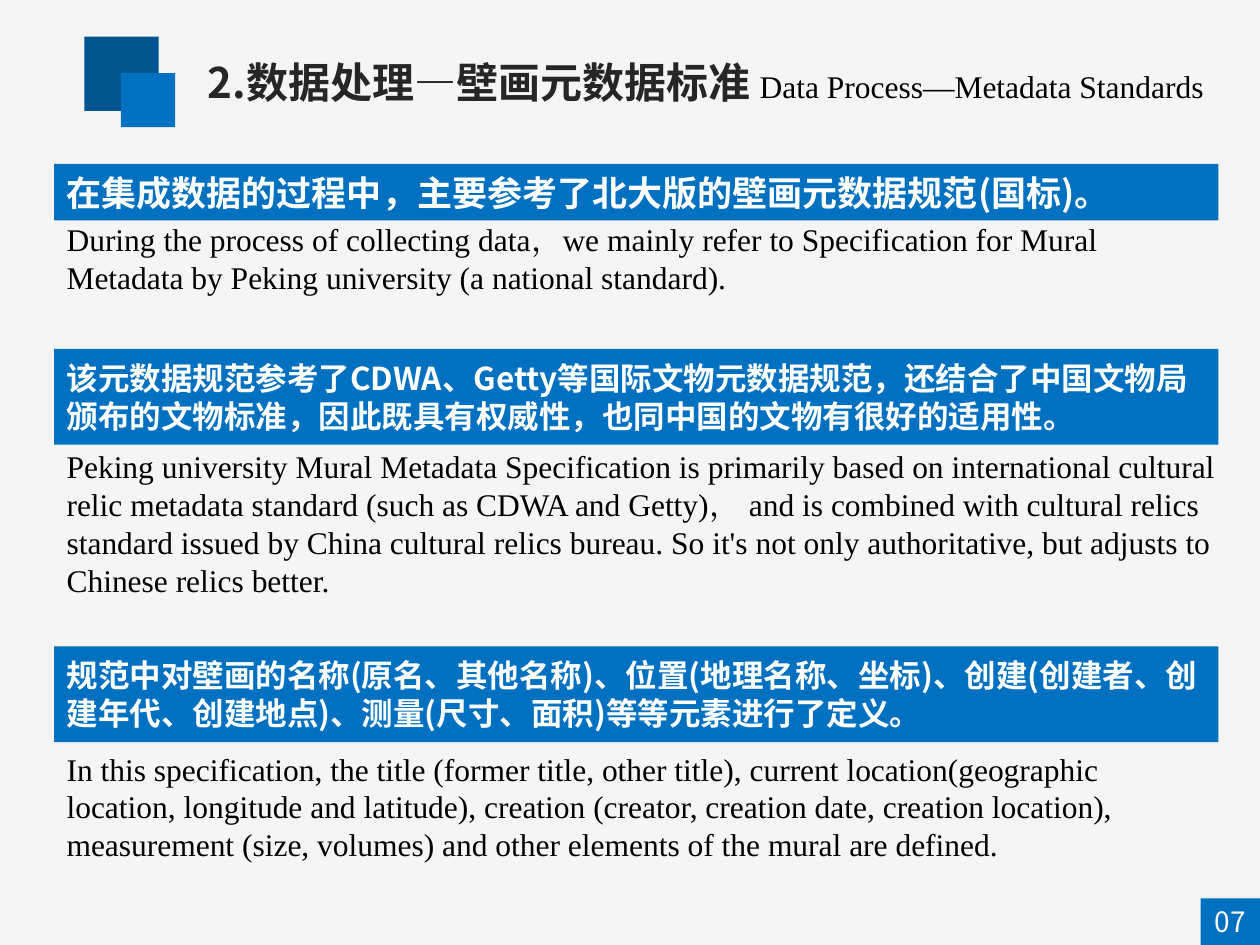
from pptx import Presentation
from pptx import util as u
from pptx.dml.color import RGBColor
from pptx.enum import shapes, text
from pptx.oxml.ns import qn
from lxml import etree

PALE = RGBColor(0xF5, 0xF5, 0xF5)
NAVY = RGBColor(0x00, 0x54, 0x90)
BLUE = RGBColor(0x00, 0x70, 0xC0)
WHITE = RGBColor(0xFF, 0xFF, 0xFF)
BLACK = RGBColor(0x00, 0x00, 0x00)
GREY = RGBColor(0x26, 0x26, 0x26)
SANS, SERIF = "Noto Sans CJK SC", "Times New Roman"

deck = Presentation()
deck.slide_width, deck.slide_height = u.Inches(10), u.Inches(7.5)
slide = deck.slides.add_slide(deck.slide_layouts[6])
slide.background.fill.solid()
slide.background.fill.fore_color.rgb = PALE

# Grid of 100 columns by 75 rows
COL, ROW = deck.slide_width / 100, deck.slide_height / 75


def place(x, y, w, h, fill=None):
    """Add a filled rectangle, or a text box when there is no fill."""
    area = [int(n) for n in (x * COL, y * ROW, w * COL, h * ROW)]
    if fill is None:
        return slide.shapes.add_textbox(*area)
    box = slide.shapes.add_shape(shapes.MSO_SHAPE.RECTANGLE, *area)
    box.shadow.inherit = False
    box.fill.solid()
    box.fill.fore_color.rgb = fill
    box.line.fill.background()
    return box


def write(box, words, size=18, font=SANS, color=WHITE, bold=False,
          lead=None, align=text.PP_ALIGN.LEFT, anchor=text.MSO_ANCHOR.MIDDLE):
    """Append a run to the first paragraph of the box."""
    frame = box.text_frame
    frame.word_wrap = True
    frame.vertical_anchor = anchor
    para = frame.paragraphs[0]
    para.alignment = align
    if lead:
        para.line_spacing = u.Pt(lead)
    run = para.add_run()
    run.text = words
    run.font.size, run.font.name, run.font.bold = u.Pt(size), font, bold
    run.font.color.rgb = color
    east = etree.SubElement(run.font._element, qn("a:ea"))
    east.set("typeface", font)


# Corner squares
place(6.7, 2.9, 5.9, 5.9, NAVY)
place(9.6, 5.8, 4.3, 4.3, BLUE)

# Title
head = place(15.5, 4, 83.8, 5)
write(head, "2.数据处理—壁画元数据标准 ", size=24, color=GREY, bold=True)
write(head, "Data Process—Metadata Standards", font=SERIF, color=BLACK)

# Blue bars, each with its translation below:
# bar top, bar height, bar size, bar words, body top, body lines, body words
LEFT, LINE = 4.3, 3
parts = [
    (13, 4.5, 20,
     "在集成数据的过程中，主要参考了北大版的壁画元数据规范(国标)。",
     17, 2,
     "During the process of collecting data，we mainly refer to "
     "Specification for Mural Metadata by Peking university "
     "(a national standard)."),
    (27.7, 7.6, 18,
     "该元数据规范参考了CDWA、Getty等国际文物元数据规范，还结合了中国文物"
     "局颁布的文物标准，因此既具有权威性，也同中国的文物有很好的适用性。",
     35, 4,
     "Peking university Mural Metadata Specification is primarily based on "
     "international cultural relic metadata standard (such as CDWA and "
     "Getty)， and is combined with cultural relics standard issued by China "
     "cultural relics bureau. So it's not only authoritative, but adjusts "
     "to Chinese relics better."),
    (51.3, 7.6, 18,
     "规范中对壁画的名称(原名、其他名称)、位置(地理名称、坐标)、创建(创建"
     "者、创建年代、创建地点)、测量(尺寸、面积)等等元素进行了定义。",
     59, 3,
     "In this specification, the title (former title, other title), current "
     "location(geographic location, longitude and latitude), creation "
     "(creator, creation date, creation location), measurement (size, "
     "volumes) and other elements of the mural are defined."),
]
for top, high, size, claim, start, lines, gloss in parts:
    bar = place(LEFT, top, 92.4, high, BLUE)
    write(bar, claim, size=size, bold=True, lead=size * 1.2)
    body = place(LEFT, start, 93.2, lines * LINE + 1)
    write(body, gloss, font=SERIF, color=BLACK, lead=21.6,
          anchor=text.MSO_ANCHOR.TOP)

# Page number
page = place(95.3, 71.3, 4.7, 3.7, BLUE)
page.text_frame.margin_left = page.text_frame.margin_right = 0
write(page, "07", size=16, align=text.PP_ALIGN.CENTER)

deck.save("out.pptx")
